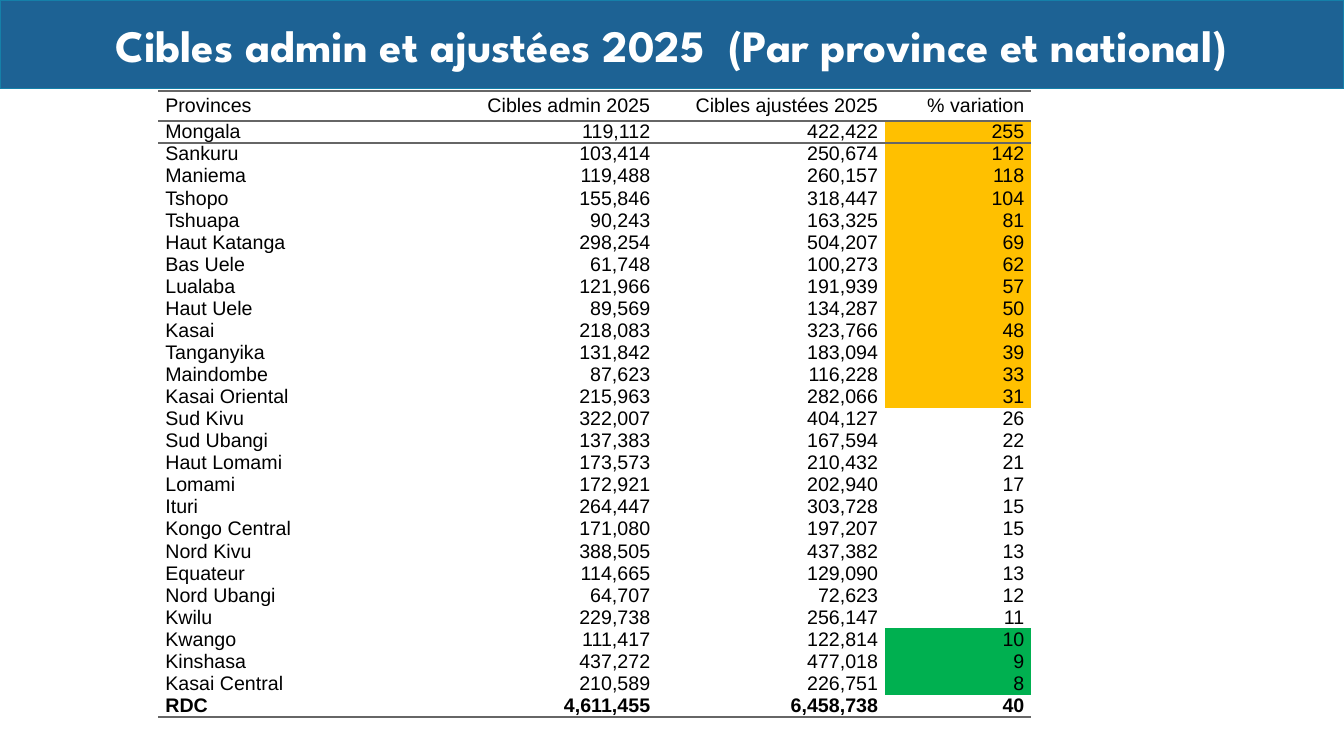
"""Build the slide of 2025 administrative and adjusted targets by province."""
from lxml.etree import SubElement
from pptx import Presentation
from pptx.dml.color import RGBColor
from pptx.enum.shapes import MSO_SHAPE
from pptx.enum.text import MSO_ANCHOR, PP_ALIGN
from pptx.oxml.ns import qn
from pptx.util import Inches, Pt

TITLE = "Cibles admin et ajustées 2025  (Par province et national)"
HEADINGS = ("Provinces", "Cibles admin 2025", "Cibles ajustées 2025", "% variation")
PROVINCES = [
    ("Mongala", 119112, 422422, 255),
    ("Sankuru", 103414, 250674, 142),
    ("Maniema", 119488, 260157, 118),
    ("Tshopo", 155846, 318447, 104),
    ("Tshuapa", 90243, 163325, 81),
    ("Haut Katanga", 298254, 504207, 69),
    ("Bas Uele", 61748, 100273, 62),
    ("Lualaba", 121966, 191939, 57),
    ("Haut Uele", 89569, 134287, 50),
    ("Kasai", 218083, 323766, 48),
    ("Tanganyika", 131842, 183094, 39),
    ("Maindombe", 87623, 116228, 33),
    ("Kasai Oriental", 215963, 282066, 31),
    ("Sud Kivu", 322007, 404127, 26),
    ("Sud Ubangi", 137383, 167594, 22),
    ("Haut Lomami", 173573, 210432, 21),
    ("Lomami", 172921, 202940, 17),
    ("Ituri", 264447, 303728, 15),
    ("Kongo Central", 171080, 197207, 15),
    ("Nord Kivu", 388505, 437382, 13),
    ("Equateur", 114665, 129090, 13),
    ("Nord Ubangi", 64707, 72623, 12),
    ("Kwilu", 229738, 256147, 11),
    ("Kwango", 111417, 122814, 10),
    ("Kinshasa", 437272, 477018, 9),
    ("Kasai Central", 210589, 226751, 8),
]
NATIONAL = ("RDC", 4611455, 6458738, 40)
COLORS = {"banner": "1D6294", "banner_line": "1580A9", "white": "FFFFFF",
          "text": "000000", "rule": "666666", "high": "FFC000", "low": "00B050"}
HIGH_ABOVE, LOW_UP_TO = 30, 10
COLUMN_WIDTHS = (2.86, 2.09, 2.26, 1.45)
HEADER_HEIGHT, ROW_HEIGHT = 0.3, 0.15
TABLE_LEFT, TABLE_TOP = 1.57, 0.9
NO_STYLE = "{2D5ABB26-0587-4C30-8999-92F81FD0307C}"


def color(name):
    return RGBColor.from_string(COLORS[name])


def add_span(para, text, font, size, color_name, bold):
    span = para.add_run()
    span.text = text
    span.font.name = font
    span.font.size = Pt(size)
    span.font.bold = bold
    span.font.color.rgb = color(color_name)


def add_banner(page, width):
    banner = page.shapes.add_shape(MSO_SHAPE.RECTANGLE, 0, 0, width, Inches(0.88))
    banner.shadow.inherit = False
    banner.fill.solid()
    banner.fill.fore_color.rgb = color("banner")
    banner.line.color.rgb = color("banner_line")
    banner.line.width = Pt(1)
    frame = banner.text_frame
    frame.word_wrap = True
    frame.vertical_anchor = MSO_ANCHOR.MIDDLE
    para = frame.paragraphs[0]
    para.alignment = PP_ALIGN.CENTER
    add_span(para, TITLE, "League Spartan", 32, "white", True)


def fill_name(value):
    if value > HIGH_ABOVE:
        return "high"
    return "low" if value <= LOW_UP_TO else "white"


def style_cell(cell, fill, edges):
    cell.margin_left = cell.margin_right = cell.margin_top = cell.margin_bottom = 0
    cell.vertical_anchor = MSO_ANCHOR.MIDDLE
    properties = cell._tc.get_or_add_tcPr()
    for edge in edges:
        line = SubElement(properties, qn(f"a:{edge}"), w=str(Pt(1.5)))
        paint = SubElement(line, qn("a:solidFill"))
        SubElement(paint, qn("a:srgbClr"), val=COLORS["rule"])
    cell.fill.solid()
    cell.fill.fore_color.rgb = color(fill)


def write_cell(cell, text, align, bold):
    para = cell.text_frame.paragraphs[0]
    para.alignment = align
    para.space_after = Pt(5)
    properties = para._p.get_or_add_pPr()
    for side in ("marL", "marR"):
        properties.set(side, str(Inches(0.07)))
    add_span(para, text, "Arial", 14, "text", bold)


def add_targets(page):
    rows = [HEADINGS, *PROVINCES, NATIONAL]
    last = len(rows) - 1
    height = HEADER_HEIGHT + ROW_HEIGHT * last
    holder = page.shapes.add_table(
        len(rows), len(HEADINGS), Inches(TABLE_LEFT), Inches(TABLE_TOP),
        Inches(sum(COLUMN_WIDTHS)), Inches(height))
    table = holder.table
    table.first_row = table.horz_banding = False
    table._tbl.tblPr.find(qn("a:tableStyleId")).text = NO_STYLE
    for column, width in zip(table.columns, COLUMN_WIDTHS):
        column.width = Inches(width)
    row_edges = {0: ("lnT", "lnB"), 1: ("lnT",), last: ("lnB",)}
    for r, values in enumerate(rows):
        table.rows[r].height = Inches(ROW_HEIGHT if r else HEADER_HEIGHT)
        for c, value in enumerate(values):
            cell = table.cell(r, c)
            shaded = c == len(HEADINGS) - 1 and 0 < r < last
            style_cell(cell, fill_name(value) if shaded else "white", row_edges.get(r, ()))
            text = value if isinstance(value, str) else f"{value:,}"
            write_cell(cell, text, PP_ALIGN.RIGHT if c else PP_ALIGN.LEFT, r == last)


def main():
    deck = Presentation()
    deck.slide_width, deck.slide_height = Inches(13.33), Inches(7.5)
    page = deck.slides.add_slide(deck.slide_layouts[6])
    add_banner(page, deck.slide_width)
    add_targets(page)
    deck.save("out.pptx")


if __name__ == "__main__":
    main()
